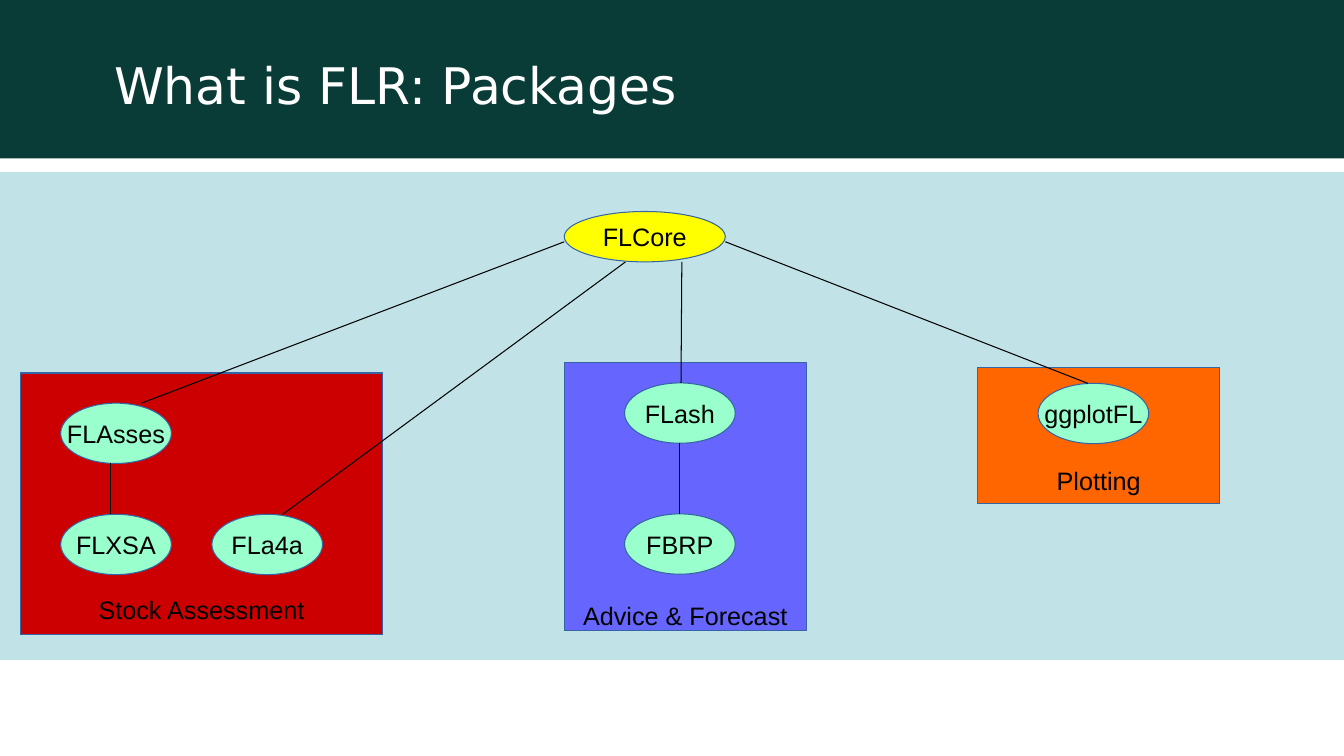
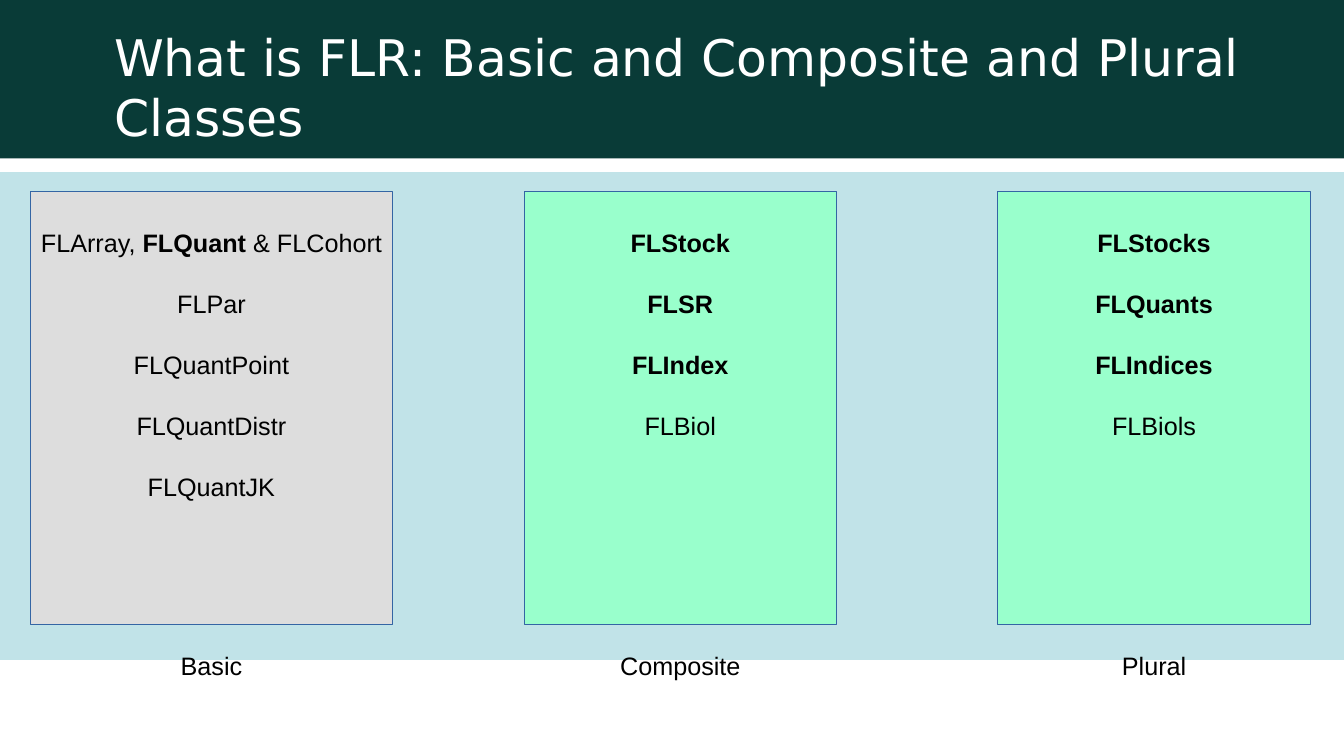
from dataclasses import dataclass
from typing import NamedTuple

from lxml import etree
from pptx import Presentation
from pptx.dml import color
from pptx.enum import shapes, text
from pptx.oxml import ns
from pptx.util import Cm, Pt


@dataclass(frozen=True)
class Theme:
    header: str = "093B37"
    backdrop: str = "C1E3E8"
    title: str = "FFFFFF"
    ink: str = "000000"
    outline: str = "3465A4"
    core: str = "FFFF00"
    mint: str = "99FFCC"
    grey: str = "DDDDDD"
    red: str = "CC0000"
    violet: str = "6666FF"
    orange: str = "FF6600"
    title_font: str = "DejaVu Sans"
    body_font: str = "Arial"
    title_size: float = 36
    body_size: float = 18
    line_width: float = 0.75
    item_gap: float = 22


class Box(NamedTuple):
    left: float
    top: float
    width: float
    height: float

    def inner(self, left, top, width, height):
        return Box(self.left + left, self.top + top, width, height)

    def at(self, across, down):
        return self.left + across * self.width, self.top + down * self.height

    def lengths(self):
        return [Cm(value) for value in self]


THEME = Theme()
WIDTH, HEIGHT = 33.87, 19.05
HEADER = Box(0, 0, WIDTH, 3.99)
CONTENT = Box(0, 4.34, WIDTH, 12.29)
CORE = (14.22, 0.99, 4.06, 1.27)
NODE_SIZE = (2.79, 1.52)

PACKAGE_GROUPS = [
    ("Stock Assessment", THEME.red, (0.51, 5.06, 9.14, 6.6), 0.25,
     {"FLXSA": (1.02, 3.56), "FLAsses": (1.02, 0.76), "FLa4a": (4.83, 3.56)}),
    ("Advice & Forecast", THEME.violet, (14.22, 4.8, 6.1, 6.76), 0,
     {"FLash": (1.52, 0.51), "FBRP": (1.52, 3.81)}),
    ("Plotting", THEME.orange, (24.64, 4.91, 6.1, 3.45), 0.22,
     {"ggplotFL": (1.52, 0.41)}),
]

PACKAGE_LINKS = [
    ("FLCore", (0.38, 1), "FLa4a", (0.64, 0)),
    ("FLCore", (0, 0.6), "FLAsses", (0.73, 0)),
    ("FLAsses", (0.45, 1), "FLXSA", (0.45, 0)),
    ("FLash", (0.5, 1), "FBRP", (0.5, 0)),
    ("FLCore", (0.73, 1), "FLash", (0.51, 0)),
    ("FLCore", (1, 0.6), "ggplotFL", (0.45, 0)),
]

CLASS_PANELS = [
    ("Composite", THEME.mint, (13.21, 0.48, 7.87, 10.92),
     [[("FLStock", True)], [("FLSR", True)], [("FLIndex", True)],
      [("FLBiol", False)]]),
    ("Basic", THEME.grey, (0.76, 0.48, 9.14, 10.92),
     [[("FLArray, ", False), ("FLQuant", True), (" & FLCohort", False)],
      [("FLPar", False)], [("FLQuantPoint", False)],
      [("FLQuantDistr", False)], [("FLQuantJK", False)]]),
    ("Plural", THEME.mint, (25.15, 0.48, 7.87, 10.92),
     [[("FLStocks", True)], [("FLQuants", True)], [("FLIndices", True)],
      [("FLBiols", False)]]),
]


def rgb(value):
    return color.RGBColor.from_string(value)


def style_font(paragraph, name, size, ink):
    font = paragraph.font
    font.name, font.size = name, Pt(size)
    font.color.rgb = rgb(ink)


def add_outlined(slide, kind, box, fill, outline=THEME.outline):
    shape = slide.shapes.add_shape(kind, *box.lengths())
    shape.shadow.inherit = False
    shape.fill.solid()
    shape.fill.fore_color.rgb = rgb(fill)
    if outline:
        shape.line.color.rgb = rgb(outline)
        shape.line.width = Pt(THEME.line_width)
    else:
        shape.line.fill.background()
    return shape


def write_items(shape, items, anchor):
    frame = shape.text_frame
    frame.word_wrap = False
    frame.vertical_anchor = anchor
    for index, item in enumerate(items):
        paragraph = frame.add_paragraph() if index else frame.paragraphs[0]
        paragraph.alignment = text.PP_ALIGN.CENTER
        if index:
            paragraph.space_before = Pt(THEME.item_gap)
        style_font(paragraph, THEME.body_font, THEME.body_size, THEME.ink)
        for words, bold in item:
            run = paragraph.add_run()
            run.text = words
            run.font.bold = bold
    return frame


def add_bands(layout, slide):
    for box, fill in ((HEADER, THEME.header), (CONTENT, THEME.backdrop)):
        band = add_outlined(slide, shapes.MSO_SHAPE.RECTANGLE, box, fill, None)
        layout.shapes.element.insert(2, band.element)


def set_title(slide, words, box):
    title = slide.shapes.title
    title.left, title.top, title.width, title.height = box.lengths()
    frame = title.text_frame
    frame.text = words
    frame.word_wrap = True
    frame.auto_size = text.MSO_AUTO_SIZE.NONE
    frame.vertical_anchor = text.MSO_ANCHOR.TOP
    heading = frame.paragraphs[0]
    heading.alignment = text.PP_ALIGN.LEFT
    style_font(heading, THEME.title_font, THEME.title_size, THEME.title)


def add_package(slide, name, box, fill):
    package = add_outlined(slide, shapes.MSO_SHAPE.OVAL, box, fill)
    write_items(package, [[(name, False)]], text.MSO_ANCHOR.MIDDLE)
    return box


def add_package_group(slide, box, caption, fill, caption_inset, nodes):
    group = add_outlined(slide, shapes.MSO_SHAPE.RECTANGLE, box, fill)
    frame = write_items(group, [[(caption, False)]], text.MSO_ANCHOR.BOTTOM)
    frame.margin_bottom = Cm(caption_inset)
    return {name: add_package(slide, name, box.inner(*place, *NODE_SIZE), THEME.mint)
            for name, place in nodes.items()}


def add_link(slide, start, end):
    link = slide.shapes.add_connector(
        shapes.MSO_CONNECTOR.STRAIGHT, *(Cm(value) for value in (*start, *end)))
    link.line.color.rgb = rgb(THEME.ink)
    link.line.width = Pt(THEME.line_width)
    properties = link.element.find(ns.qn("p:spPr"))
    etree.SubElement(properties, ns.qn("a:effectLst"))


def add_package_map(slide, box):
    packages = {"FLCore": add_package(slide, "FLCore", box.inner(*CORE), THEME.core)}
    for caption, fill, place, inset, nodes in PACKAGE_GROUPS:
        packages.update(add_package_group(
            slide, box.inner(*place), caption, fill, inset, nodes))
    for source, leaving, target, arriving in PACKAGE_LINKS:
        add_link(slide, packages[source].at(*leaving), packages[target].at(*arriving))


def add_class_panel(slide, box, caption, fill, classes):
    panel = add_outlined(slide, shapes.MSO_SHAPE.RECTANGLE, box, fill)
    frame = write_items(panel, classes, text.MSO_ANCHOR.TOP)
    frame.margin_top = Cm(0.9)
    label_box = box.inner(0, box.height + 0.52, box.width, 1)
    label = slide.shapes.add_textbox(*label_box.lengths())
    write_items(label, [[(caption, False)]], text.MSO_ANCHOR.MIDDLE)


def add_class_panels(slide, box):
    for caption, fill, place, classes in CLASS_PANELS:
        add_class_panel(slide, box.inner(*place), caption, fill, classes)


def main():
    deck = Presentation()
    deck.slide_width, deck.slide_height = Cm(WIDTH), Cm(HEIGHT)
    layout = deck.slide_layouts.get_by_name("Title Only")

    packages = deck.slides.add_slide(layout)
    add_bands(layout, packages)
    set_title(packages, "What is FLR: Packages", HEADER.inner(2.62, 1.24, 30.25, 2.74))
    add_package_map(packages, CONTENT)

    classes = deck.slides.add_slide(layout)
    set_title(classes, "What is FLR: Basic and Composite and Plural Classes",
              HEADER.inner(2.62, 0.53, 30.25, 3.25))
    add_class_panels(classes, CONTENT)

    deck.save("out.pptx")


if __name__ == "__main__":
    main()
